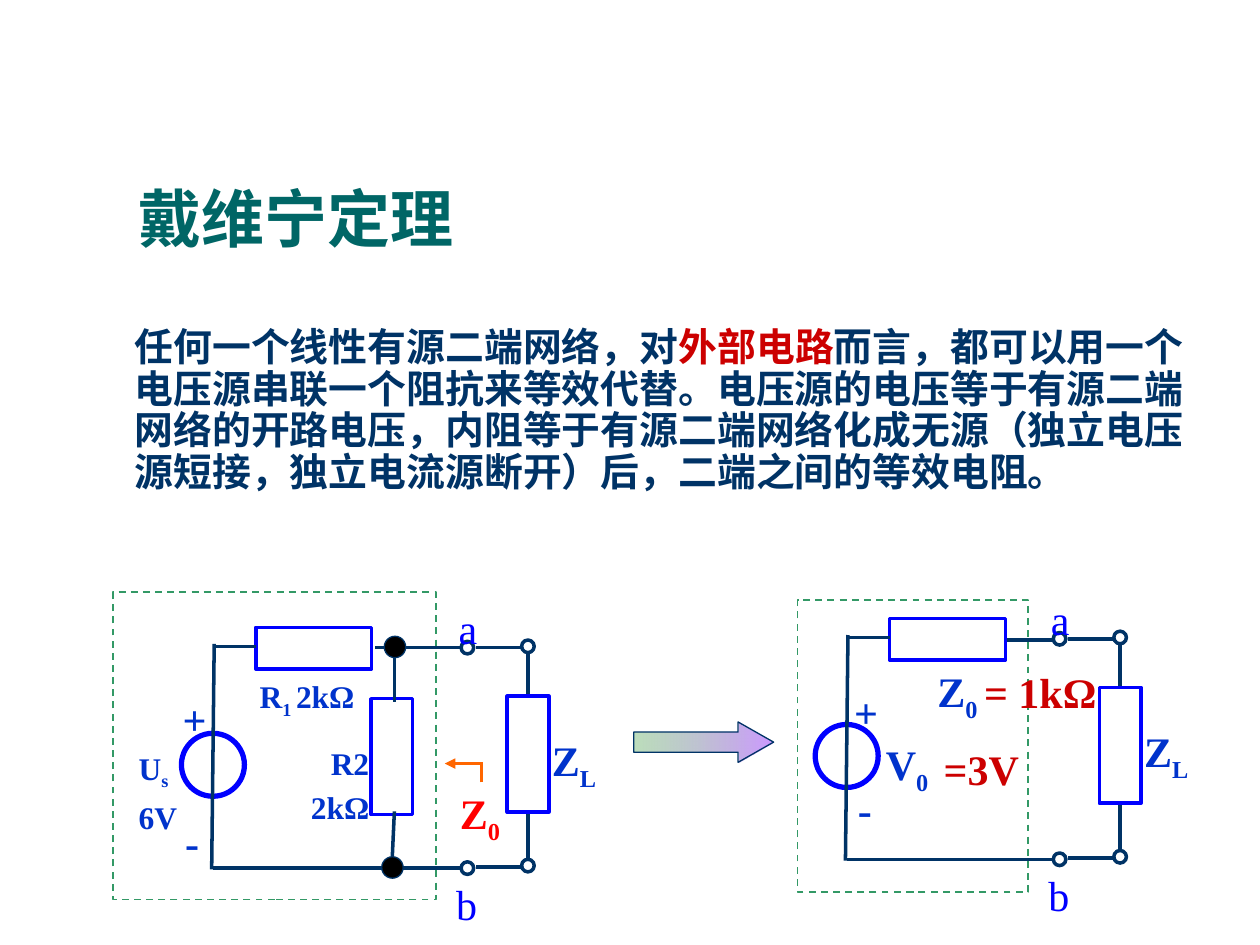
from pptx import Presentation
from pptx import util as u
from pptx.dml import color
from pptx.enum import dml, shapes, text
from pptx.oxml import ns
from lxml import etree

COLUMNS, ROWS = 100, 75
SLIDE_WIDTH, SLIDE_HEIGHT = u.Inches(10), u.Inches(7.5)
NAVY, BLUE, INK, RED = "003366", "0000FF", "0033CC", "CC0000"
SERIF = "Times New Roman"
OVAL, RECT = shapes.MSO_SHAPE.OVAL, shapes.MSO_SHAPE.RECTANGLE


def rgb(value):
    """Turn a hex string into a colour."""
    return color.RGBColor.from_string(value)


def place(origin, left, top):
    """Turn a grid point within a region into slide lengths."""
    return (round((origin[0] + left) * SLIDE_WIDTH / COLUMNS),
            round((origin[1] + top) * SLIDE_HEIGHT / ROWS))


def add_run(paragraph, wording, size, hue, bold=True, font=SERIF, sub=False):
    """Add one formatted run."""
    run = paragraph.add_run()
    run.text = wording
    run.font.size, run.font.bold, run.font.name = u.Pt(size), bold, font
    run.font.color.rgb = rgb(hue)
    if sub:
        run.font._element.set("baseline", "-25000")


def label(slide, origin, box, parts, size=24, hue=INK, bold=True,
          pad=(0, 0), align=text.PP_ALIGN.LEFT):
    """Add a text label whose odd-numbered parts are subscripts."""
    left, top, width, height = box
    frame = slide.shapes.add_textbox(*place(origin, left, top),
                                     *place((0, 0), width, height)).text_frame
    frame.word_wrap = True
    frame.margin_left = frame.margin_right = u.Inches(pad[0])
    frame.margin_top = frame.margin_bottom = u.Inches(pad[1])
    paragraph = frame.paragraphs[0]
    paragraph.alignment, paragraph.line_spacing = align, 1.18
    for index, wording in enumerate(parts):
        add_run(paragraph, wording, size, hue, bold, sub=index % 2 == 1)


def outline(slide, origin, box, kind=RECT, hue=BLUE, weight=2, fill=None,
            turn=0, dashed=False):
    """Add an outlined preset shape."""
    left, top, width, height = box
    part = slide.shapes.add_shape(kind, *place(origin, left, top),
                                  *place((0, 0), width, height))
    part.shadow.inherit = False
    part.rotation = turn
    part.line.color.rgb, part.line.width = rgb(hue), u.Pt(weight)
    if dashed:
        part.line.dash_style = dml.MSO_LINE.DASH
    if fill:
        part.fill.solid()
        part.fill.fore_color.rgb = rgb(fill)
    else:
        part.fill.background()
    return part


def wire(slide, origin, start, end, hue=NAVY, arrow=False):
    """Add a straight line, optionally with an arrowhead at its end."""
    line = slide.shapes.add_connector(shapes.MSO_CONNECTOR.STRAIGHT,
                                      *place(origin, *start), *place(origin, *end))
    line.line.color.rgb, line.line.width = rgb(hue), u.Pt(2)
    if arrow:
        etree.SubElement(line.line._get_or_add_ln(), ns.qn("a:tailEnd"), type="triangle")
    etree.SubElement(line._element.spPr, ns.qn("a:effectLst"))


def source_branch(slide, origin, bottom_end):
    """Draw the voltage source, the series resistor and their wires."""
    outline(slide, origin, (5.9, 0, 9.2, 3.3))
    outline(slide, origin, (0, 8.4, 5, 5), OVAL, weight=3)
    for start, end in (((2.6, 1.5), (5.9, 1.5)), ((2.4, 19.2), (2.6, 1.3)),
                       ((2.5, 19.1), (bottom_end, 19.1))):
        wire(slide, origin, start, end)


def load_branch(slide, origin):
    """Draw terminals a and b with the load between them."""
    for start, end in (((1.6, 21.7), (5.2, 21.7)), ((1.6, 4.3), (5.2, 4.3)),
                       ((5.7, 17.3), (5.7, 21)), ((5.7, 4.7), (5.7, 8.3))):
        wire(slide, origin, start, end)
    outline(slide, origin, (1.1, 11.1, 9.2, 3.3), turn=90)
    for left, top in ((0.4, 3.8), (5.2, 3.7), (0.4, 21.3), (5.2, 21.1)):
        outline(slide, origin, (left, top, 1, 1), OVAL, NAVY)
    label(slide, origin, (0.2, 0, 2, 4), ["a"], hue=BLUE, bold=False)
    label(slide, origin, (0, 21.9, 2, 4), ["b"], hue=BLUE, bold=False)
    label(slide, origin, (7.6, 10.4, 3.9, 4.6), ["Z", "L"])


def polarity(slide, origin, plus, minus):
    """Mark the two poles of a voltage source."""
    for sign, (left, top) in (("+", plus), ("-", minus)):
        label(slide, origin, (left, top, 3.9, 5), [sign], pad=(0.1, 0.05))


def active_network(slide, origin):
    """Draw the circuit with two resistors and its load."""
    outline(slide, origin, (0, 0, 25.6, 24.4), hue="339966", weight=1, dashed=True)
    left, top = origin
    source_branch(slide, (left + 5.4, top + 2.8), 22.3)
    load_branch(slide, (left + 27.2, top + 0.1))
    outline(slide, origin, (17.5, 11.4, 9.2, 3.3), turn=90)
    for start, end in (((20.8, 4.4), (27.7, 4.4)), ((22.3, 4.4), (22.3, 8.7)),
                       ((22.3, 17.4), (22.1, 21.8))):
        wire(slide, origin, start, end)
    for node in ((21.5, 3.5), (21.3, 21)):
        outline(slide, origin, (*node, 1.7, 1.7), OVAL, NAVY, 0.75, fill="000000")
    polarity(slide, origin, (4.5, 6.8), (4.7, 16.6))
    label(slide, origin, (1.8, 11.7, 3.5, 6.6), ["U", "s", "6V"], 18, pad=(0.02, 0.01))
    label(slide, origin, (11.6, 6.1, 8.5, 3.4), ["R", "1 ", "2kΩ"], 18)
    label(slide, origin, (13.4, 11.5, 6.9, 6.4), ["R2 2kΩ"], 18,
          align=text.PP_ALIGN.RIGHT)
    wire(slide, origin, (29.2, 15.1), (29.2, 13.5), "FF6600")
    wire(slide, origin, (29.2, 13.6), (26.3, 13.6), "FF6600", arrow=True)
    label(slide, origin, (27.5, 14.7, 4.7, 4.6), ["Z", "0"], hue="FF0000")


def equivalent_network(slide, origin):
    """Draw the equivalent source and impedance with the same load."""
    outline(slide, origin, (0, 0, 18.3, 23.2), hue="339966", weight=1, dashed=True)
    left, top = origin
    source_branch(slide, (left + 1.4, top + 1.5), 19)
    load_branch(slide, (left + 19.9, top - 1.2))
    wire(slide, origin, (16.6, 3.2), (20.4, 3.2))
    polarity(slide, origin, (3.5, 5.7), (3.8, 13.4))
    label(slide, origin, (6.8, 10.1, 4.9, 4.8), ["V", "0"], pad=(0.02, 0.01))
    label(slide, origin, (11.1, 4.4, 4, 4.6), ["Z", "0"])
    label(slide, origin, (11.4, 10.6, 6.7, 4.2), ["=3V"], hue=RED, pad=(0.02, 0.01))
    label(slide, origin, (14.6, 4.5, 11.3, 4.2), ["= 1kΩ"], hue=RED, pad=(0.02, 0.01))


def equivalence_arrow(slide, origin):
    """Draw the gradient arrow between the circuits."""
    arrow = outline(slide, origin, (0, 0, 11.1, 3.2), shapes.MSO_SHAPE.RIGHT_ARROW,
                    NAVY, 0.75)
    arrow.adjustments[0], arrow.adjustments[1] = 0.5, 0.88
    arrow.fill.gradient()
    arrow.fill.gradient_angle = 0
    for stop, hue, position in zip(arrow.fill.gradient_stops, ("99CC99", "CC99FF"), (0, 1)):
        stop.color.rgb, stop.position = rgb(hue), position
    first = arrow._element.spPr.find(".//" + ns.qn("a:srgbClr"))
    etree.SubElement(first, ns.qn("a:alpha"), val="65000")


def heading(slide, origin):
    """Place and format the title."""
    title = slide.shapes.title
    title.left, title.top = place(origin, 0, 0)
    title.width, title.height = place((0, 0), 87.5, 12.5)
    frame = title.text_frame
    frame.auto_size = text.MSO_AUTO_SIZE.NONE
    frame.vertical_anchor = text.MSO_ANCHOR.BOTTOM
    paragraph = frame.paragraphs[0]
    paragraph.alignment, paragraph.line_spacing = text.PP_ALIGN.LEFT, 0.9
    add_run(paragraph, "戴维宁定理", 36, "006666", font="Arial")


def statement(slide, origin):
    """Write the theorem."""
    frame = slide.shapes.add_textbox(*place(origin, 0, 0),
                                     *place((0, 0), 87.5, 21)).text_frame
    frame.word_wrap = True
    paragraph = frame.paragraphs[0]
    paragraph.line_spacing = 0.9
    for wording, hue in (
            ("任何一个线性有源二端网络，对", NAVY), ("外部电路", RED),
            ("而言，都可以用一个电压源串联一个阻抗来等效代替。电压源的电压等于有源二端网络的"
             "开路电压，内阻等于有源二端网络化成无源（独立电压源短接，独立电流源断开）后，"
             "二端之间的等效电阻。", NAVY)):
        add_run(paragraph, wording, 22.2, hue)


def main():
    """Build and save the slide."""
    deck = Presentation()
    deck.slide_width, deck.slide_height = SLIDE_WIDTH, SLIDE_HEIGHT
    slide = deck.slides.add_slide(deck.slide_layouts[5])
    heading(slide, (10, 8.3))
    statement(slide, (9.7, 25.5))
    active_network(slide, (9, 47))
    equivalence_arrow(slide, (50.3, 57.3))
    equivalent_network(slide, (63.3, 47.6))
    deck.save("out.pptx")


if __name__ == "__main__":
    main()
